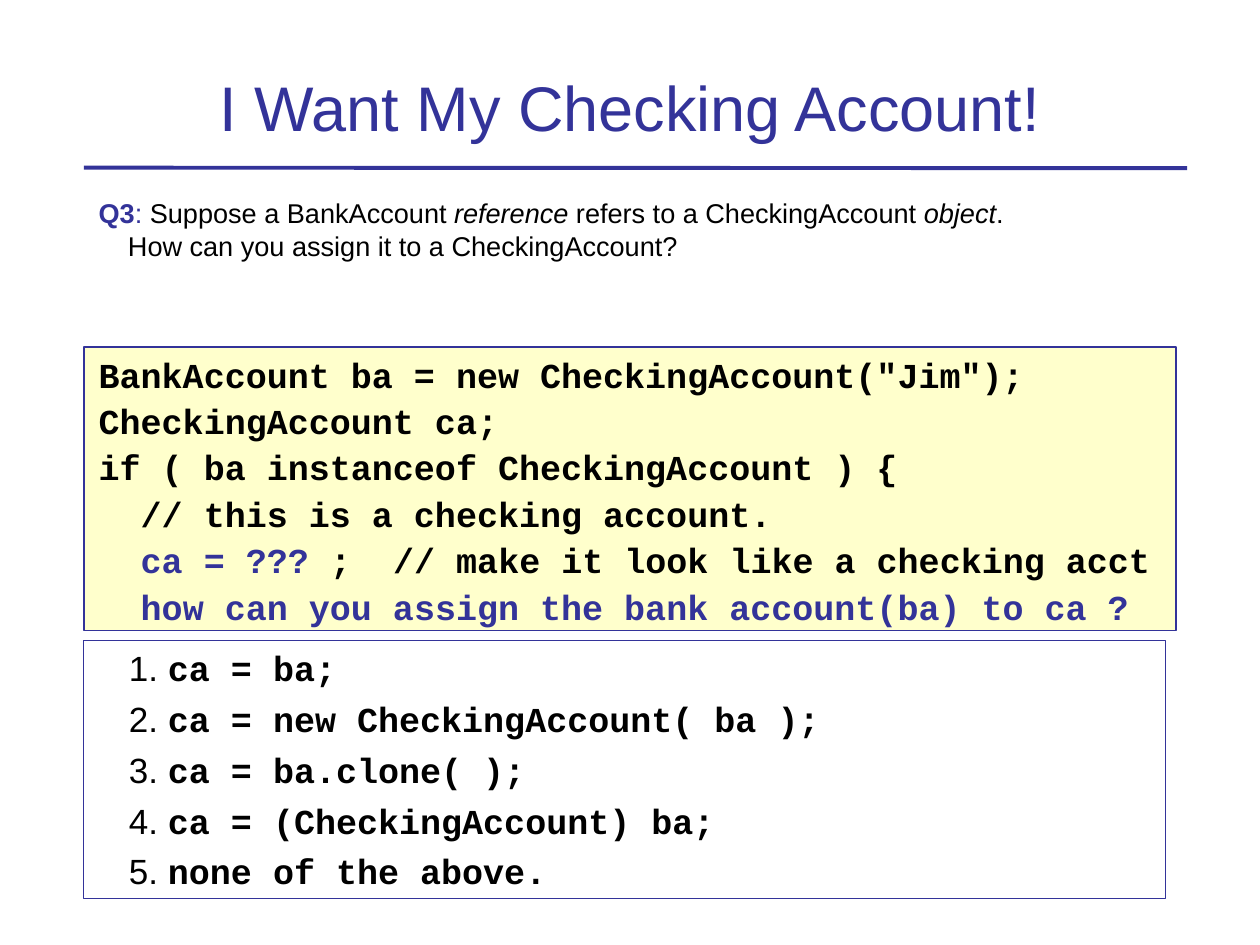
from lxml.etree import SubElement
from pptx import Presentation
from pptx.dml.color import RGBColor
from pptx.enum.shapes import MSO_CONNECTOR, MSO_SHAPE
from pptx.enum.text import MSO_ANCHOR, PP_ALIGN
from pptx.oxml.ns import qn
from pptx.util import Cm, Pt

INDIGO, BLACK, CREAM = "333399", "000000", "FFFFCC"
SANS, MONO = "Arial", "Courier New"
LEFT, WIDTH = 1.69, 22.02

CODE = [
    [('BankAccount ba = new CheckingAccount("Jim");', BLACK)],
    [("CheckingAccount ca;", BLACK)],
    [("if ( ba instanceof CheckingAccount ) {", BLACK)],
    [("  // this is a checking account.", BLACK)],
    [("  ", BLACK), ("ca = ???", INDIGO),
     (" ;  // make it look like a checking acct", BLACK)],
    [("  ", BLACK), ("how can you assign the bank account(ba) to ca ?", INDIGO)],
]
ANSWERS = [
    "ca = ba;",
    "ca = new CheckingAccount( ba );",
    "ca = ba.clone( );",
    "ca = (CheckingAccount) ba;",
    "none of the above.",
]


def rgb(color):
    return RGBColor.from_string(color)


def add_run(paragraph, text, size, font=SANS, color=BLACK, bold=False, italic=False):
    run = paragraph.add_run()
    run.text = text
    run.font.name, run.font.size = font, Pt(size)
    run.font.bold, run.font.italic = bold, italic
    run.font.color.rgb = rgb(color)


def set_indent(paragraph, margin, first):
    properties = paragraph._p.get_or_add_pPr()
    properties.set("marL", str(Cm(margin)))
    properties.set("indent", str(Cm(first)))


def set_frame(frame, anchor=MSO_ANCHOR.TOP):
    frame.word_wrap = True
    frame.vertical_anchor = anchor
    frame.margin_left = frame.margin_right = Cm(0.25)
    frame.margin_top = frame.margin_bottom = Cm(0.13)


def add_title(slide, text):
    title = slide.shapes.title
    title.left, title.top = Cm(LEFT), Cm(0.62)
    title.width, title.height = Cm(WIDTH), Cm(2.41)
    set_frame(title.text_frame, MSO_ANCHOR.BOTTOM)
    paragraph = title.text_frame.paragraphs[0]
    paragraph.alignment = PP_ALIGN.CENTER
    add_run(paragraph, text, 36, color=INDIGO)


def add_rule(slide):
    rule = slide.shapes.add_connector(
        MSO_CONNECTOR.STRAIGHT, Cm(LEFT), Cm(3.38), Cm(23.93), Cm(3.39))
    rule.line.color.rgb = rgb(INDIGO)
    rule.line.width = Pt(2.25)
    SubElement(rule._element.spPr, qn("a:effectLst"))


def add_question(slide):
    question = slide.shapes.add_textbox(Cm(LEFT), Cm(3.81), Cm(WIDTH), Cm(1.7))
    set_frame(question.text_frame)
    paragraph = question.text_frame.paragraphs[0]
    set_indent(paragraph, 0.64, -0.59)
    paragraph.line_spacing = 1.03
    add_run(paragraph, "Q3", 15.5, color=INDIGO, bold=True)
    add_run(paragraph, ":", 15.5, color=INDIGO)
    add_run(paragraph, " Suppose a BankAccount ", 15.5)
    add_run(paragraph, "reference", 15.5, italic=True)
    add_run(paragraph, " refers to a CheckingAccount ", 15.5)
    add_run(paragraph, "object", 15.5, italic=True)
    add_run(paragraph, ".", 15.5)
    paragraph.add_line_break()
    add_run(paragraph, "How can you assign it to a CheckingAccount?", 15.5)


def add_panel(slide, top, width, height, line_width, fill=None):
    panel = slide.shapes.add_shape(
        MSO_SHAPE.RECTANGLE, Cm(LEFT), Cm(top), Cm(width), Cm(height))
    panel.shadow.inherit = False
    if fill:
        panel.fill.solid()
        panel.fill.fore_color.rgb = rgb(fill)
    else:
        panel.fill.background()
    panel.line.color.rgb = rgb(INDIGO)
    panel.line.width = Pt(line_width)
    set_frame(panel.text_frame)
    return panel.text_frame


def add_lines(frame, lines, margin, first, gap):
    """Write one paragraph per line; each line is a list of (text, font, color, bold)."""
    for number, line in enumerate(lines):
        paragraph = frame.paragraphs[0] if number == 0 else frame.add_paragraph()
        paragraph.alignment = PP_ALIGN.LEFT
        set_indent(paragraph, margin, first)
        if number:
            paragraph.space_before = Pt(gap)
        for text, font, color, bold in line:
            add_run(paragraph, text, 20, font, color, bold)


def main():
    deck = Presentation()
    deck.slide_width, deck.slide_height = Cm(25.4), Cm(19.05)
    slide = deck.slides.add_slide(deck.slide_layouts[5])

    # Heading and question
    add_rule(slide)
    add_title(slide, "I Want My Checking Account!")
    add_question(slide)

    # Code listing
    listing = add_panel(slide, 6.99, WIDTH, 5.72, 1, CREAM)
    code_lines = [[(text, MONO, color, True) for text, color in line] for line in CODE]
    add_lines(listing, code_lines, 0.64, -0.59, 2.5)

    # Answer choices
    choices = add_panel(slide, 12.91, 21.8, 5.2, 0.75)
    answer_lines = [
        [(f"{number}. ", SANS, BLACK, False), (answer, MONO, BLACK, True)]
        for number, answer in enumerate(ANSWERS, 1)]
    add_lines(choices, answer_lines, 0.94, -0.28, 5)

    deck.save("out.pptx")


if __name__ == "__main__":
    main()
